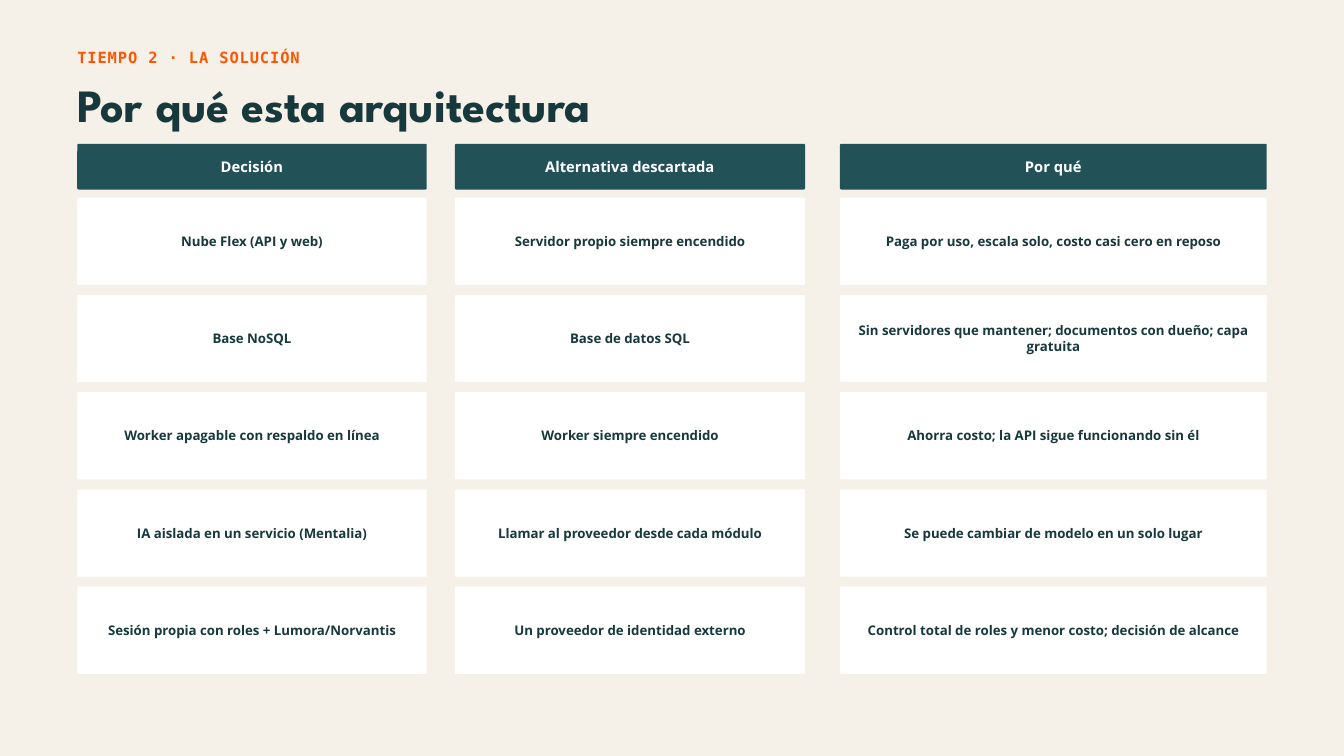
from dataclasses import dataclass

from pptx import Presentation
from pptx.dml.color import RGBColor
from pptx.enum.shapes import MSO_SHAPE
from pptx.enum.text import MSO_ANCHOR, MSO_AUTO_SIZE, PP_ALIGN
from pptx.slide import Slide
from pptx.text.text import TextFrame
from pptx.util import Inches, Pt

CREAM, WHITE, ORANGE = "F5F1E8", "FFFFFF", "FF5500"
TEAL, INK = "225258", "17383C"


@dataclass(frozen=True)
class Style:
    font: str
    size: float
    line: float
    color: str
    track: int = 0  # letter spacing, hundredths of a point


@dataclass(frozen=True)
class Box:
    left: float
    top: float
    width: float
    height: float


@dataclass(frozen=True)
class Column:
    left: float
    width: float
    head: str
    cells: tuple[str, ...]


LABEL = Style("DejaVu Sans Mono", 16.5, 23.1, ORANGE, 100)
TITLE = Style("League Spartan", 49.5, 50.5, INK)
HEAD = Style("Open Sans", 15.8, 18.1, WHITE)
CELL = Style("Open Sans", 14.2, 16.4, INK)

COLUMNS = (
    Column(1.15, 5.2, "Decisión", (
        "Nube Flex (API y web)",
        "Base NoSQL",
        "Worker apagable con respaldo en línea",
        "IA aislada en un servicio (Mentalia)",
        "Sesión propia con roles + Lumora/Norvantis",
    )),
    Column(6.77, 5.21, "Alternativa descartada", (
        "Servidor propio siempre encendido",
        "Base de datos SQL",
        "Worker siempre encendido",
        "Llamar al proveedor desde cada módulo",
        "Un proveedor de identidad externo",
    )),
    Column(12.5, 6.35, "Por qué", (
        "Paga por uso, escala solo, costo casi cero en reposo",
        "Sin servidores que mantener; documentos con dueño; capa gratuita",
        "Ahorra costo; la API sigue funcionando sin él",
        "Se puede cambiar de modelo en un solo lugar",
        "Control total de roles y menor costo; decisión de alcance",
    )),
)

HEAD_TOP, HEAD_HIGH = 2.14, 0.68
FIRST_TOP, LAST_TOP, ROW_HIGH = 2.94, 8.73, 1.3
PITCH = (LAST_TOP - FIRST_TOP) / (len(COLUMNS[0].cells) - 1)
RADIUS = 0.02


def color(code: str) -> RGBColor:
    return RGBColor.from_string(code)


def place(box: Box) -> tuple[Inches, ...]:
    return tuple(Inches(v) for v in (box.left, box.top, box.width, box.height))


def write(frame: TextFrame, text: str, style: Style, align: PP_ALIGN, inset: float) -> None:
    frame.word_wrap = True
    frame.margin_left = frame.margin_right = Inches(inset)
    frame.margin_top = frame.margin_bottom = Inches(inset)
    para = frame.paragraphs[0]
    para.alignment = align
    para.line_spacing = Pt(style.line)
    run = para.add_run()
    run.text = text
    run.font.name = style.font
    run.font.size = Pt(style.size)
    run.font.bold = True
    run.font.color.rgb = color(style.color)
    if style.track:
        run._r.get_or_add_rPr().set("spc", str(style.track))


def add_line(slide: Slide, box: Box, text: str, style: Style) -> None:
    frame = slide.shapes.add_textbox(*place(box)).text_frame
    write(frame, text, style, PP_ALIGN.LEFT, 0)
    frame.auto_size = MSO_AUTO_SIZE.SHAPE_TO_FIT_TEXT


def add_card(slide: Slide, box: Box, text: str, style: Style, fill: str) -> None:
    card = slide.shapes.add_shape(MSO_SHAPE.ROUNDED_RECTANGLE, *place(box))
    card.adjustments[0] = RADIUS / min(box.width, box.height)
    card.shadow.inherit = False
    card.fill.solid()
    card.fill.fore_color.rgb = color(fill)
    card.line.fill.background()
    card.text_frame.vertical_anchor = MSO_ANCHOR.MIDDLE
    write(card.text_frame, text, style, PP_ALIGN.CENTER, 0.06)


def main() -> None:
    deck = Presentation()
    deck.slide_width, deck.slide_height = Inches(20), Inches(11.25)
    slide = deck.slides.add_slide(deck.slide_layouts[6])
    slide.background.fill.solid()
    slide.background.fill.fore_color.rgb = color(CREAM)

    # Heading
    add_line(slide, Box(1.15, 0.67, 15.62, 0.31), "TIEMPO 2 · LA SOLUCIÓN", LABEL)
    add_line(slide, Box(1.15, 1.26, 16.67, 0.73), "Por qué esta arquitectura", TITLE)

    # Grid of decisions
    for col in COLUMNS:
        add_card(slide, Box(col.left, HEAD_TOP, col.width, HEAD_HIGH), col.head, HEAD, TEAL)
        for row, text in enumerate(col.cells):
            top = FIRST_TOP + row * PITCH
            add_card(slide, Box(col.left, top, col.width, ROW_HIGH), text, CELL, WHITE)

    deck.save("out.pptx")


if __name__ == "__main__":
    main()
